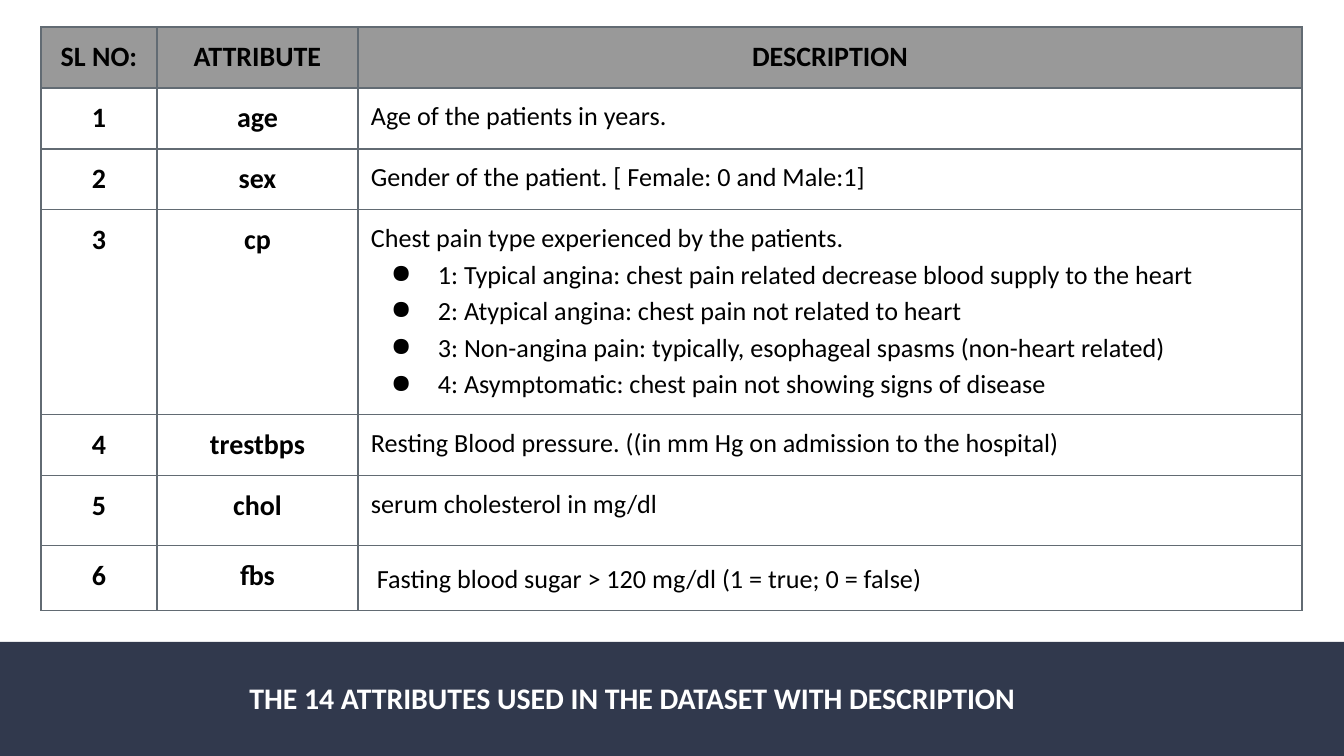
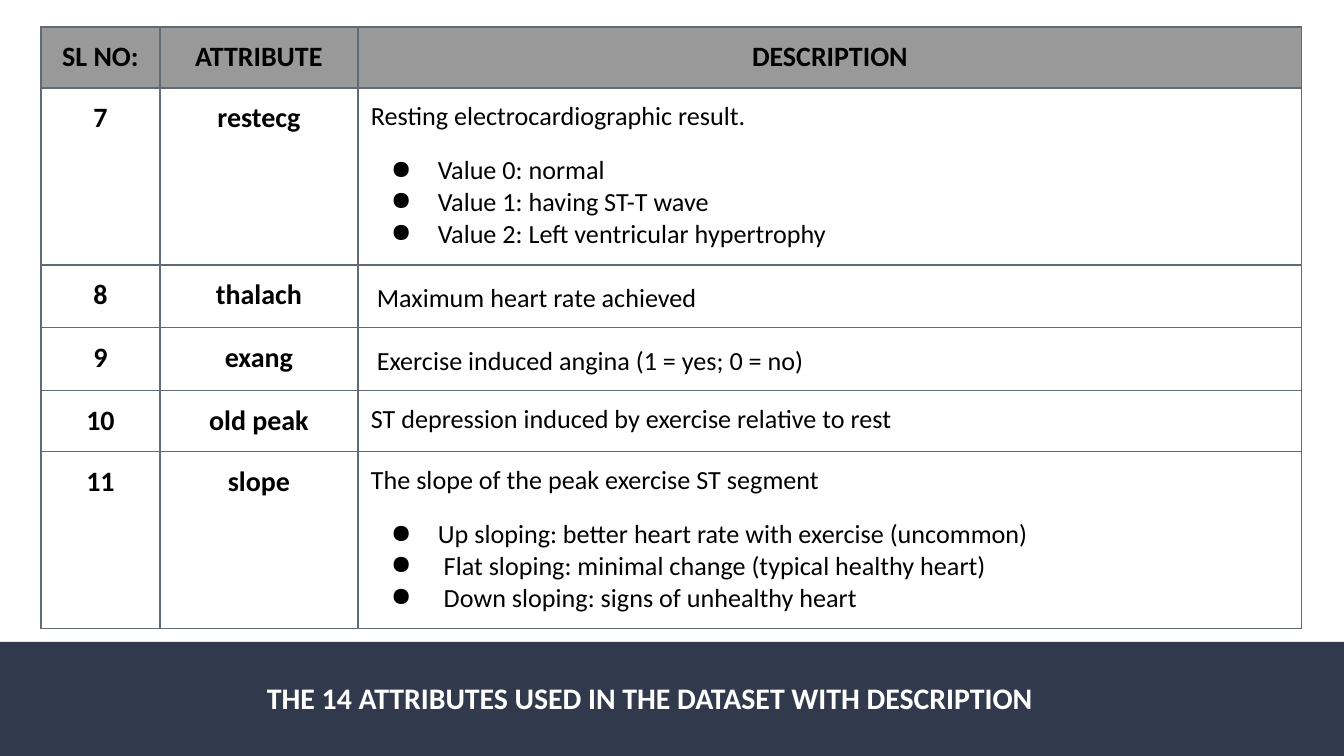
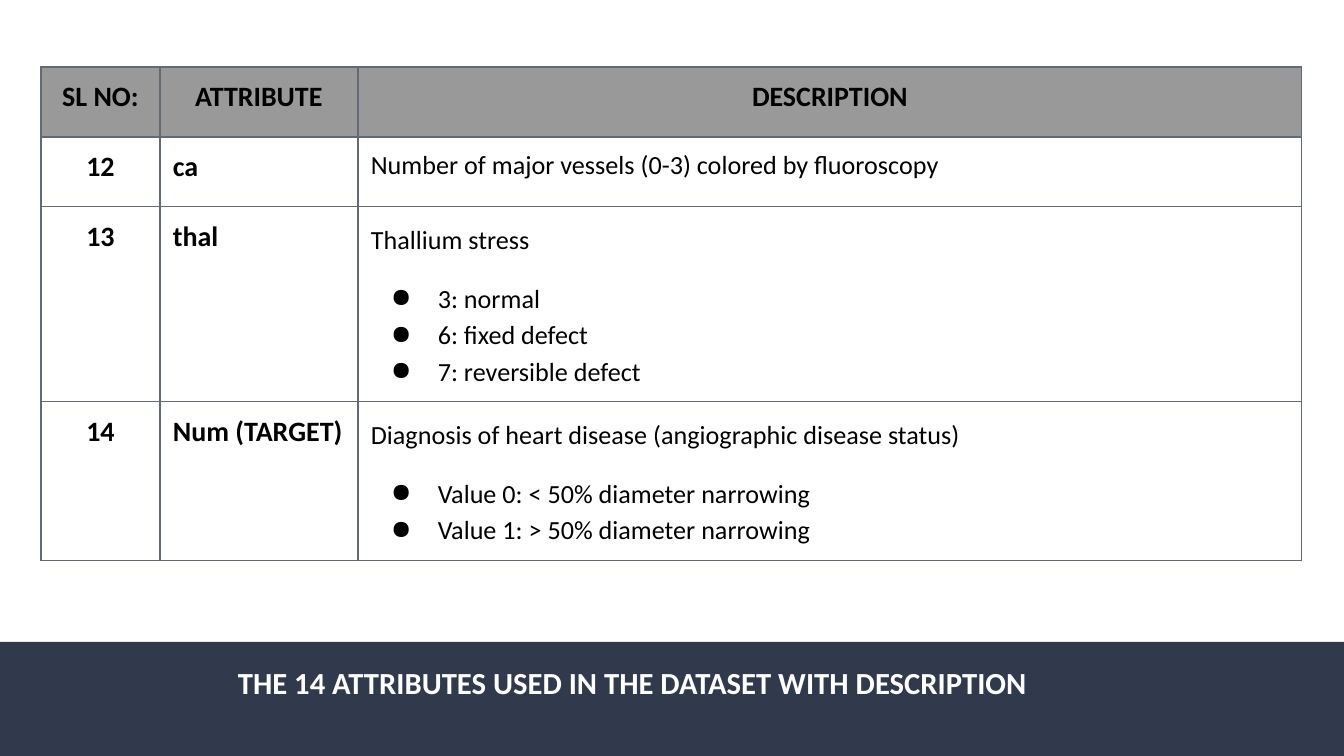
from lxml import etree
from pptx import Presentation
from pptx import util as u
from pptx.dml.color import RGBColor
from pptx.enum import shapes, text
from pptx.oxml import ns

PX = 914400 / 134.4
FONT = "Calibri"
COLORS = {"band": "31394D", "head": "999999", "rule": "626B73",
          "ink": "000000", "light": "FFFFFF"}
CENTER, JUST = text.PP_ALIGN.CENTER, text.PP_ALIGN.JUSTIFY
TOP, MIDDLE = text.MSO_ANCHOR.TOP, text.MSO_ANCHOR.MIDDLE
TITLE = "THE 14 ATTRIBUTES USED IN THE DATASET WITH DESCRIPTION"
HEADS = ["SL NO:", "ATTRIBUTE", "DESCRIPTION"]

# Paragraph formats
MID = {"alignment": CENTER}
PLAIN = {}
EVEN = {"alignment": JUST}
OPEN = {"alignment": JUST, "line_spacing": 1.15}
BEFORE = {"space_before": u.Pt(12)}
LOOSE = OPEN | BEFORE
WIDE = LOOSE | {"space_after": u.Pt(12)}


def px(n):
    return u.Emu(round(n * PX))


def write(para, words, size, color, bold, form):
    run = para.add_run()
    run.text = words
    for key, val in {"name": FONT, "size": u.Pt(size), "bold": bold}.items():
        setattr(run.font, key, val)
    run.font.color.rgb = RGBColor.from_string(COLORS[color])
    for key, val in form.items():
        setattr(para, key, val)


# Each row: height, name, lead text, lead format, bullets, bullet format, first bullet format
PAGES = [
    {"top": 27, "cols": [116, 201, 944], "head": 61, "names": MID,
     "title": {"box": (46, 664, 1173, 67), "size": 16, "anchor": MIDDLE, "inset": 13, "form": MID},
     "rows": [
         (61, "age", "Age of the patients in years.", PLAIN, [], {}, {}),
         (61, "sex", "Gender of the patient. [ Female: 0 and Male:1]", PLAIN, [], {}, {}),
         (205, "cp", "Chest pain type experienced by the patients.", PLAIN,
          ["1: Typical angina: chest pain related decrease blood supply to the heart",
           "2: Atypical angina: chest pain not related to heart",
           "3: Non-angina pain: typically, esophageal spasms (non-heart related)",
           "4: Asymptomatic: chest pain not showing signs of disease"], OPEN, {}),
         (61, "trestbps", "Resting Blood pressure. ((in mm Hg on admission to the hospital)",
          PLAIN, [], {}, {}),
         (70, "chol", "serum cholesterol in mg/dl", PLAIN, [], {}, {}),
         (65, "fbs", " Fasting blood sugar > 120 mg/dl (1 = true; 0 = false)", WIDE, [], {}, {}),
     ]},
    {"top": 27, "cols": [119, 198, 944], "head": 61, "names": MID,
     "title": {"box": (161, 667, 978, 63), "size": 16, "anchor": TOP, "inset": 13, "form": MID},
     "rows": [
         (177, "restecg", "Resting electrocardiographic result.", EVEN | BEFORE,
          ["Value 0: normal", "Value 1: having ST-T wave",
           "Value 2: Left ventricular hypertrophy"], EVEN, BEFORE),
         (63, "thalach", " Maximum heart rate achieved", WIDE, [], {}, {}),
         (63, "exang", " Exercise induced angina (1 = yes; 0 = no)", WIDE, [], {}, {}),
         (61, "old peak", "ST depression induced by exercise relative to rest", EVEN, [], {}, {}),
         (177, "slope", "The slope of the peak exercise ST segment", EVEN,
          ["Up sloping: better heart rate with exercise (uncommon)",
           " Flat sloping: minimal change (typical healthy heart)",
           " Down sloping: signs of unhealthy heart"], EVEN, BEFORE),
     ]},
    {"top": 67, "cols": [119, 198, 944], "head": 70, "names": PLAIN,
     "title": {"box": (46, 664, 1173, 67), "size": 16.4, "anchor": TOP, "inset": 7,
               "form": MID | {"line_spacing": 0.8}},
     "rows": [
         (70, "ca", "Number of major vessels (0-3) colored by fluoroscopy", PLAIN, [], {}, {}),
         (195, "thal", "Thallium stress", LOOSE,
          ["3: normal", "6: fixed defect", "7: reversible defect"], OPEN, BEFORE),
         (159, "Num (TARGET)", "Diagnosis of heart disease (angiographic disease status)", LOOSE,
          ["Value 0: < 50% diameter narrowing", "Value 1: > 50% diameter narrowing"], OPEN, BEFORE),
     ]},
]

deck = Presentation()
deck.slide_width, deck.slide_height = px(1344), px(756)
count = 0

for page in PAGES:
    slide = deck.slides.add_slide(deck.slide_layouts[6])

    # Bottom band
    band = slide.shapes.add_shape(shapes.MSO_SHAPE.RECTANGLE, 0, px(642), px(1344), px(114))
    band.shadow.inherit = False
    band.fill.solid()
    band.fill.fore_color.rgb = RGBColor.from_string(COLORS["band"])
    band.line.fill.background()

    # Title on the band
    title = page["title"]
    frame = slide.shapes.add_textbox(*map(px, title["box"])).text_frame
    form = {"word_wrap": True, "vertical_anchor": title["anchor"], "margin_top": px(title["inset"]),
            "margin_bottom": px(13), "margin_left": px(13), "margin_right": px(13)}
    for key, val in form.items():
        setattr(frame, key, val)
    write(frame.paragraphs[0], TITLE, title["size"], "light", True, title["form"])

    # Table grid
    highs = [page["head"]] + [row[0] for row in page["rows"]]
    table = slide.shapes.add_table(len(highs), 3, px(41), px(page["top"]),
                                   px(sum(page["cols"])), px(sum(highs))).table
    table.first_row = table.horz_banding = False
    for col, wide in zip(table.columns, page["cols"]):
        col.width = px(wide)
    for row, high in zip(table.rows, highs):
        row.height = px(high)

    # Cell fills, insets and borders
    for spot, cell in enumerate(table.iter_cells()):
        if spot < 3:
            cell.fill.solid()
            cell.fill.fore_color.rgb = RGBColor.from_string(COLORS["head"])
        else:
            cell.fill.background()
        for side in ("left", "right", "top", "bottom"):
            setattr(cell, "margin_" + side, px(13))
        props = cell._tc.get_or_add_tcPr()
        for i, side in enumerate("LRTB"):
            line = etree.Element(ns.qn("a:ln" + side), w=str(u.Pt(0.75)))
            fill = etree.SubElement(line, ns.qn("a:solidFill"))
            etree.SubElement(fill, ns.qn("a:srgbClr"), val=COLORS["rule"])
            props.insert(i, line)

    # Header and body text
    for i, head in enumerate(HEADS):
        write(table.cell(0, i).text_frame.paragraphs[0], head, 15, "ink", True, MID)
    for r, (_, name, lead, look, items, style, first) in enumerate(page["rows"], 1):
        count += 1
        num, attr, desc = (table.cell(r, c).text_frame for c in range(3))
        write(num.paragraphs[0], str(count), 15, "ink", True, MID)
        write(attr.paragraphs[0], name, 15, "ink", True, page["names"])
        write(desc.paragraphs[0], lead, 14, "ink", False, look)
        for i, item in enumerate(items):
            para = desc.add_paragraph()
            write(para, item, 14, "ink", False, style | (first if i == 0 else {}))
            props = para._p.get_or_add_pPr()
            props.set("marL", str(px(67)))
            props.set("indent", str(px(-47)))
            tint = etree.SubElement(props, ns.qn("a:buClr"))
            etree.SubElement(tint, ns.qn("a:srgbClr"), val=COLORS["ink"])
            etree.SubElement(props, ns.qn("a:buChar"), char="●")

deck.save("out.pptx")
